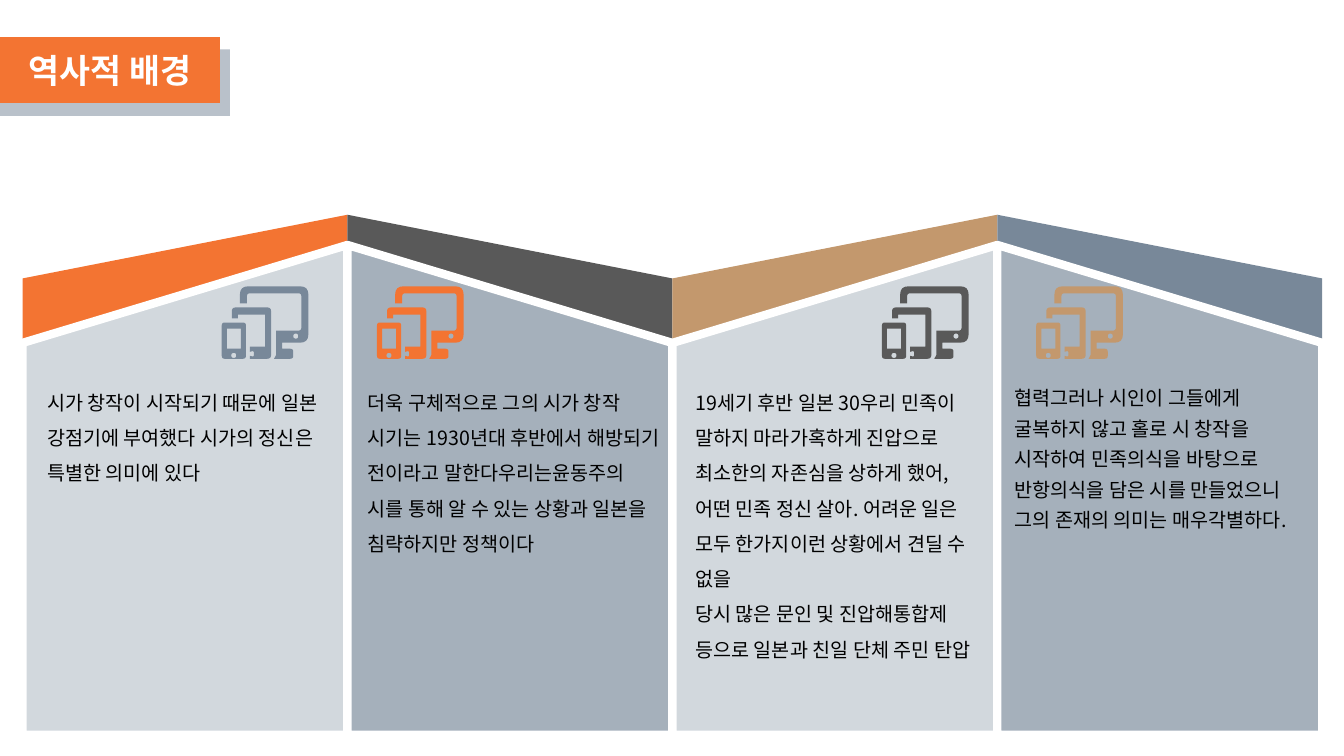
from pptx import Presentation
from pptx.dml.color import RGBColor
from pptx.enum.shapes import MSO_SHAPE
from pptx.enum.text import MSO_ANCHOR, MSO_AUTO_SIZE, PP_ALIGN
from pptx.oxml.ns import qn
from pptx.util import Pt

RECTANGLE = MSO_SHAPE.RECTANGLE
PROCESS = MSO_SHAPE.FLOWCHART_PROCESS
SLANTED = MSO_SHAPE.FLOWCHART_MANUAL_INPUT
MIDDLE = MSO_ANCHOR.MIDDLE
CENTER = PP_ALIGN.CENTER
GROW = MSO_AUTO_SIZE.SHAPE_TO_FIT_TEXT
FIXED = MSO_AUTO_SIZE.NONE

ORANGE = RGBColor(0xF3, 0x74, 0x32)
CHARCOAL = RGBColor(0x59, 0x59, 0x59)
TAN = RGBColor(0xC3, 0x98, 0x6D)
SLATE = RGBColor(0x78, 0x88, 0x99)
LIGHT_PANEL = RGBColor(0xD2, 0xD8, 0xDD)
DARK_PANEL = RGBColor(0xA5, 0xB0, 0xBB)
TITLE_SHADE = RGBColor(0xB9, 0xC1, 0xCA)
WHITE = RGBColor(0xFF, 0xFF, 0xFF)
BLACK = RGBColor(0x00, 0x00, 0x00)

LATIN_FONT = "Arial"
KOREAN_FONT = "Noto Sans CJK SC"

COLUMN_LEFT, COLUMN_WIDTH = 16.1, 232.1
ICON_TOP, TEXT_TOP = 204.5, 267.1


def box_corners(left, top, right, bottom, radius):
    return [(left, top, radius), (right, top, radius),
            (right, bottom, radius), (left, bottom, radius)]


PHONE = box_corners(0, 25.9, 17.3, 51.8, 2.2)
PHONE_SCREEN = box_corners(3.6, 30.2, 13.7, 44.6, 0)
PHONE_BUTTON = box_corners(6.8, 47.6, 10.4, 51.2, 1.8)
TABLET = [
    (7.2, 15.1, 2.9), (35.3, 15.1, 2.9), (35.3, 51.8, 2.9), (20.2, 51.8, 0),
    (20.2, 49.7, 0), (23, 50.4, 1.4), (23, 46.1, 1.4), (20.2, 46.8, 0),
    (20.2, 43.2, 0), (31, 43.2, 0), (31, 20.2, 0), (11.5, 20.2, 0),
    (11.5, 23, 0), (7.2, 23, 0),
]
MONITOR = [
    (13, 0, 6), (61.9, 0, 6), (61.9, 40.3, 6), (43.2, 40.3, 0),
    (43.2, 44.6, 0), (51.1, 44.6, 2.2), (51.1, 51.8, 2.2), (37.4, 51.8, 0),
    (38.9, 49, 0), (38.9, 31.7, 0), (56.9, 31.7, 2.2), (56.9, 5, 2.2),
    (18, 5, 2.2), (18, 12.2, 0), (13, 12.2, 0),
]
MONITOR_BUTTON = box_corners(51.1, 33.8, 54.7, 37.4, 1.8)
DEVICES = [PHONE, PHONE_SCREEN, PHONE_BUTTON, TABLET, MONITOR, MONITOR_BUTTON]

COLUMNS = [
    {"band": ORANGE, "icon": (158.4, SLATE), "text": (26.6, 218.9, 80.6),
     "font": LATIN_FONT, "spacing": 1.5, "size_rule": GROW,
     "lines": ["시가 창작이 시작되기 때문에 일본 강점기에 부여했다 시가의 정신은 특별한 의미에 있다"]},
    {"band": CHARCOAL, "icon": (269.3, ORANGE), "text": (255.6, 224.6, 157),
     "font": KOREAN_FONT, "spacing": 1.5, "size_rule": GROW,
     "lines": ["더욱 구체적으로 그의 시가 창작 시기는 1930년대 후반에서 해방되기 전이라고 "
               "말한다우리는윤동주의 시를 통해 알 수 있는 상황과 일본을 침략하지만 정책이다"]},
    {"band": TAN, "icon": (630, CHARCOAL), "text": (489.6, 216.7, 233.3),
     "font": KOREAN_FONT, "spacing": 1.5, "size_rule": GROW,
     "lines": ["19세기 후반 일본 30우리 민족이 말하지 마라가혹하게 진압으로 최소한의 자존심을 "
               "상하게 했어,어떤 민족 정신 살아. 어려운 일은 모두 한가지이런 상황에서 견딜 수 없을",
               "당시 많은 문인 및 진압해통합제 등으로 일본과 친일 단체 주민 탄압"]},
    {"band": SLATE, "icon": (740.2, TAN), "text": (717.8, 220.3, 185.8),
     "font": KOREAN_FONT, "spacing": 1.3, "size_rule": FIXED,
     "lines": ["협력그러나 시인이 그들에게 굴복하지 않고 홀로 시 창작을 시작하여 민족의식을 바탕으로 "
               "반항의식을 담은 시를 만들었으니 그의 존재의 의미는 매우각별하다."]},
]


def toward(start, end, distance):
    across, down = end[0] - start[0], end[1] - start[1]
    share = distance / (across ** 2 + down ** 2) ** 0.5
    return start[0] + across * share, start[1] + down * share


def rounded_outline(corners, steps=4):
    points = []
    for index, corner in enumerate(corners):
        x, y, radius = corner
        if radius == 0:
            points.append((Pt(x), Pt(y)))
            continue
        entry = toward(corner, corners[index - 1], radius)
        leave = toward(corner, corners[(index + 1) % len(corners)], radius)
        for step in range(steps + 1):
            t = step / steps
            points.append(tuple(
                Pt((1 - t) ** 2 * a + 2 * t * (1 - t) * b + t ** 2 * c)
                for a, b, c in zip(entry, (x, y), leave)))
    return points


class SlideBuilder:
    def __init__(self, page):
        self.page = page
        self.text_format = {"size": Pt(14), "bold": False}

    def paint(self, shape, fill, border=None):
        shape.shadow.inherit = False
        shape.fill.solid()
        shape.fill.fore_color.rgb = fill
        if border is None:
            shape.line.fill.background()
        else:
            shape.line.color.rgb = border
            shape.line.width = Pt(6)

    def shape(self, kind, place, fill, border=None, flipped=False):
        shape = self.page.shapes.add_shape(kind, *map(Pt, place))
        self.paint(shape, fill, border)
        if flipped:
            shape.element.spPr.find(qn("a:xfrm")).set("flipH", "1")
        return shape

    def icon(self, left, top, color):
        outlines = [rounded_outline(corners) for corners in DEVICES]
        builder = self.page.shapes.build_freeform(*outlines[0][0])
        builder.add_line_segments(outlines[0][1:], close=True)
        for outline in outlines[1:]:
            builder.move_to(*outline[0])
            builder.add_line_segments(outline[1:], close=True)
        self.paint(builder.convert_to_shape(Pt(left), Pt(top)), color)

    def add_span(self, para, text, color, **changes):
        span = para.add_run()
        span.text = text
        for name, value in {**self.text_format, **changes}.items():
            setattr(span.font, name, value)
        span.font.color.rgb = color
        latin = span.font._element.find(qn("a:latin"))
        latin.addnext(latin.makeelement(qn("a:ea"), {"typeface": KOREAN_FONT}))

    def title(self, place, text):
        frame = self.shape(PROCESS, place, ORANGE).text_frame
        frame.vertical_anchor = MIDDLE
        para = frame.paragraphs[0]
        para.alignment = CENTER
        self.add_span(para, text, WHITE, name=LATIN_FONT, size=Pt(24), bold=True)

    def body(self, place, lines, font, spacing, size_rule):
        frame = self.page.shapes.add_textbox(*map(Pt, place)).text_frame
        frame.word_wrap = True
        frame.auto_size = size_rule
        for index, line in enumerate(lines):
            para = frame.add_paragraph() if index else frame.paragraphs[0]
            para.line_spacing = spacing
            self.add_span(para, line, BLACK, name=font)


def main():
    deck = Presentation()
    deck.slide_width, deck.slide_height = Pt(960), Pt(540)
    builder = SlideBuilder(deck.slides.add_slide(deck.slide_layouts[6]))

    builder.shape(RECTANGLE, (0, 35.3, 164.2, 47.5), TITLE_SHADE)
    builder.title((0, 26.6, 157, 46.8), "역사적 배경")

    for index, column in enumerate(COLUMNS):
        left = COLUMN_LEFT + index * COLUMN_WIDTH
        flipped = index % 2 == 1
        panel = DARK_PANEL if flipped else LIGHT_PANEL
        builder.shape(SLANTED, (left, 153.4, COLUMN_WIDTH, 227.5), column["band"], flipped=flipped)
        builder.shape(SLANTED, (left, 175, COLUMN_WIDTH, 349.9), panel, WHITE, flipped)

    for column in COLUMNS:
        icon_left, icon_color = column["icon"]
        builder.icon(icon_left, ICON_TOP, icon_color)
        left, width, height = column["text"]
        builder.body((left, TEXT_TOP, width, height), column["lines"],
                     column["font"], column["spacing"], column["size_rule"])

    deck.save("out.pptx")


if __name__ == "__main__":
    main()
